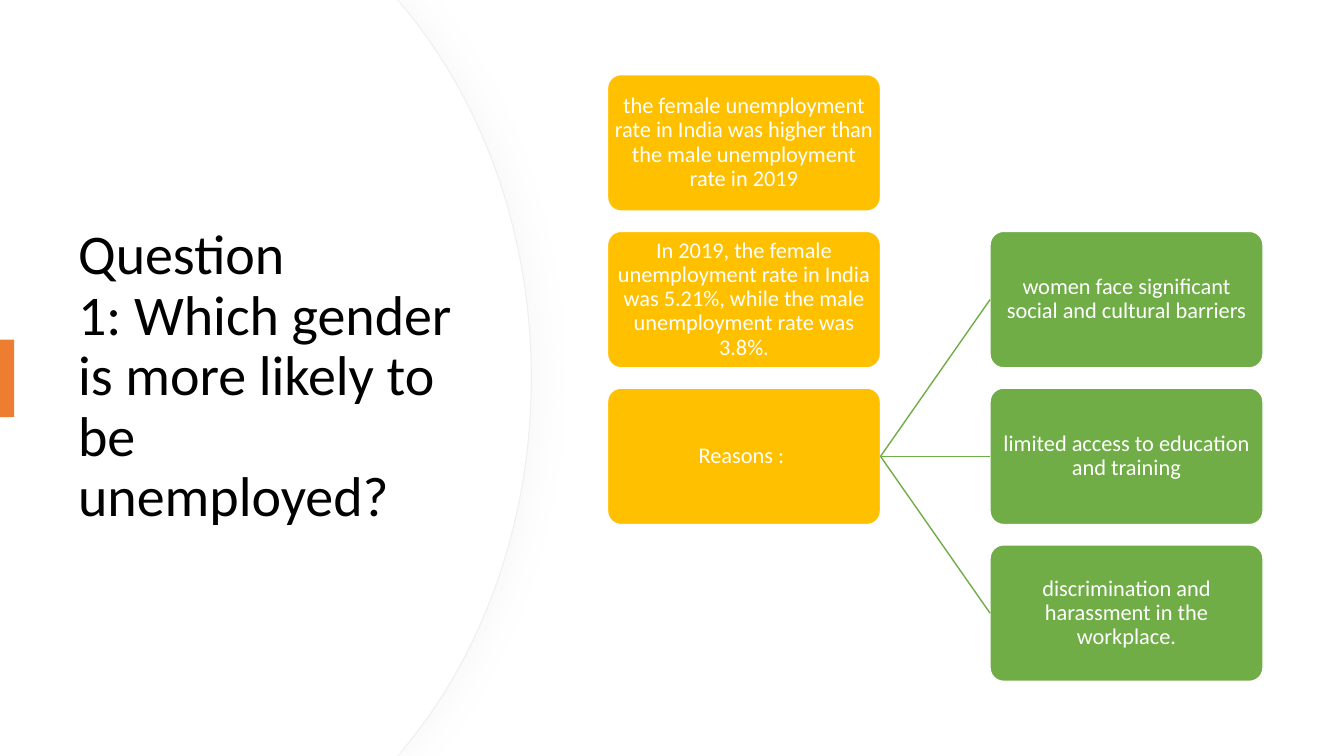
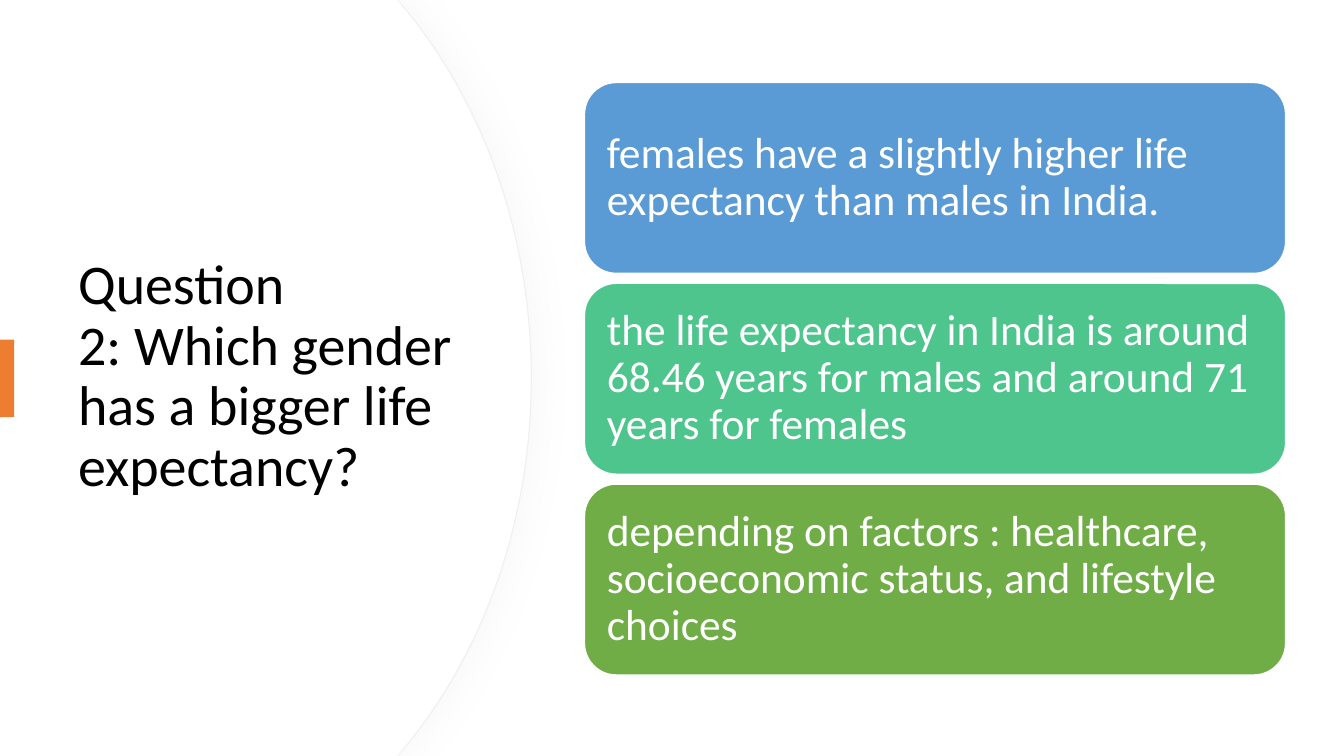
from dataclasses import dataclass

from lxml import etree
from pptx import Presentation
from pptx.dml.color import RGBColor
from pptx.enum.shapes import MSO_CONNECTOR, MSO_SHAPE
from pptx.enum.text import MSO_ANCHOR, PP_ALIGN
from pptx.oxml.ns import qn
from pptx.shapes.autoshape import Shape
from pptx.slide import Slide
from pptx.text.text import TextFrame
from pptx.util import Cm, Pt

RECTANGLE = MSO_SHAPE.RECTANGLE
ROUNDED = MSO_SHAPE.ROUNDED_RECTANGLE
STRAIGHT = MSO_CONNECTOR.STRAIGHT
MIDDLE = MSO_ANCHOR.MIDDLE
LEFT, CENTER = PP_ALIGN.LEFT, PP_ALIGN.CENTER
LEFT_SITE, RIGHT_SITE = 1, 3
SLIDE_W, SLIDE_H = 33.87, 19.05


@dataclass(frozen=True)
class Theme:
    font: str = "Calibri"
    title_size: float = 40
    node_size: float = 16
    fact_size: float = 31
    line_spacing: float = 0.9
    black: str = "000000"
    white: str = "FFFFFF"
    edge: str = "EFEFEF"
    shadow: str = "D9D9D9"
    orange: str = "ED7D31"
    gold: str = "FFC000"
    green: str = "70AD47"
    blue: str = "5B9BD5"
    mint: str = "4DC58D"


@dataclass(frozen=True)
class CardStyle:
    width: float
    height: float
    radius: float
    margin: float
    size: float
    align: PP_ALIGN


@dataclass(frozen=True)
class Card:
    text: str
    fill: str
    left: float
    top: float


THEME = Theme()
NODE = CardStyle(6.88, 3.44, 0.1, 0.03, THEME.node_size, CENTER)
FACT = CardStyle(17.67, 4.81, 0.1667, 0.33, THEME.fact_size, LEFT)
NODE_TOP, NODE_PITCH = 1.88, 3.95
CAUSE_LEFT, REASON_LEFT = 15.31, 24.95
FACT_LEFT, FACT_TOP, FACT_PITCH = 14.73, 2.08, 5.06

CAUSES = [
    "the female unemployment rate in India was higher than the male unemployment rate in 2019",
    "In 2019, the female unemployment rate in India was 5.21%, while the male unemployment rate was 3.8%.",
    "Reasons :\u00a0",
]
REASONS = [
    "women face significant social and cultural barriers",
    "limited access to education and training",
    "discrimination and harassment in the workplace.",
]
FACTS = [
    ("females have a slightly higher life expectancy than males in India.\u00a0", THEME.blue),
    ("the life expectancy in India is around 68.46 years for males and around 71 years for females", THEME.mint),
    ("depending on factors :\u00a0healthcare, socioeconomic status, and lifestyle choices", THEME.green),
]


def rgb(color: str) -> RGBColor:
    return RGBColor.from_string(color)


def paint(sp: Shape, fill: str, line: str | None = None, width: float = 1) -> None:
    sp.shadow.inherit = False
    sp.fill.solid()
    sp.fill.fore_color.rgb = rgb(fill)
    if line is None:
        sp.line.fill.background()
    else:
        sp.line.color.rgb = rgb(line)
        sp.line.width = Pt(width)


def write(tf: TextFrame, text: str, size: float, color: str, align: PP_ALIGN) -> None:
    tf.text = text
    tf.word_wrap = True
    tf.vertical_anchor = MIDDLE
    p = tf.paragraphs[0]
    p.alignment = align
    p.line_spacing = THEME.line_spacing
    font = p.runs[0].font
    font.name = THEME.font
    font.size = Pt(size)
    font.color.rgb = rgb(color)


def add_soft_shadow(sp: Shape) -> None:
    effects = sp._element.spPr.find(qn("a:effectLst"))
    shadow = etree.SubElement(
        effects, qn("a:outerShdw"), blurRad=str(Pt(20)), dist=str(Pt(7)), dir="0"
    )
    color = etree.SubElement(shadow, qn("a:srgbClr"), val=THEME.shadow)
    etree.SubElement(color, qn("a:alpha"), val="15000")


def curve_through(sp: Shape, first: int) -> None:
    lines = list(sp._element.iter(qn("a:lnTo")))[first:first + 3]
    curve = etree.Element(qn("a:cubicBezTo"))
    lines[0].addprevious(curve)
    for line in lines:
        curve.append(line[0])
        line.getparent().remove(line)


def add_panel(s: Slide, bulge: float) -> Shape:
    middle = (bulge, SLIDE_H / 2)
    upper = [(10.01, 0), (bulge - 3.2, 0.2), (bulge - 1.22, 2.59), (bulge, 5.89)]
    lower = [(x, SLIDE_H - y) for x, y in reversed(upper)]
    outline = [*upper, middle, *lower, (0, SLIDE_H)]
    builder = s.shapes.build_freeform(0, 0)
    builder.add_line_segments([(Cm(x), Cm(y)) for x, y in outline], close=True)
    sp = builder.convert_to_shape()
    for first in (5, 2):
        curve_through(sp, first)
    return sp


def add_question(prs: Presentation, title: str) -> Slide:
    s = prs.slides.add_slide(prs.slide_layouts[6])
    back = add_panel(s, 13.39)
    paint(back, THEME.white, THEME.edge, 0.75)
    add_soft_shadow(back)
    paint(add_panel(s, 13.36), THEME.white)
    box = s.shapes.add_textbox(Cm(1.72), Cm(3.23), Cm(10.01), Cm(12.57))
    write(box.text_frame, title, THEME.title_size, THEME.black, LEFT)
    accent = s.shapes.add_shape(RECTANGLE, 0, Cm(8.56), Cm(0.36), Cm(1.95))
    paint(accent, THEME.orange)
    return s


def add_card(s: Slide, card: Card, style: CardStyle) -> Shape:
    sp = s.shapes.add_shape(
        ROUNDED, Cm(card.left), Cm(card.top), Cm(style.width), Cm(style.height)
    )
    sp.adjustments[0] = style.radius
    paint(sp, card.fill, THEME.white)
    tf = sp.text_frame
    tf.margin_left = tf.margin_right = Cm(style.margin)
    tf.margin_top = tf.margin_bottom = Cm(style.margin)
    write(tf, card.text, style.size, THEME.white, style.align)
    return sp


def add_link(s: Slide, source: Shape, target: Shape) -> None:
    link = s.shapes.add_connector(STRAIGHT, 0, 0, 0, 0)
    link.begin_connect(source, RIGHT_SITE)
    link.end_connect(target, LEFT_SITE)
    link.line.color.rgb = rgb(THEME.green)
    link.line.width = Pt(1)
    etree.SubElement(link._element.spPr, qn("a:effectLst"))


def build_unemployment(prs: Presentation) -> None:
    s = add_question(prs, "Question 1:\u00a0Which gender is more likely to be unemployed?")
    causes = [
        add_card(s, Card(text, THEME.gold, CAUSE_LEFT, NODE_TOP + i * NODE_PITCH), NODE)
        for i, text in enumerate(CAUSES)
    ]
    for i, text in enumerate(REASONS, start=1):
        card = Card(text, THEME.green, REASON_LEFT, NODE_TOP + i * NODE_PITCH)
        add_link(s, causes[-1], add_card(s, card, NODE))


def build_life_expectancy(prs: Presentation) -> None:
    s = add_question(prs, "Question 2:\u00a0Which gender has a bigger life expectancy?")
    for i, (text, fill) in enumerate(FACTS):
        add_card(s, Card(text, fill, FACT_LEFT, FACT_TOP + i * FACT_PITCH), FACT)


def main() -> None:
    prs = Presentation()
    prs.slide_width, prs.slide_height = Cm(SLIDE_W), Cm(SLIDE_H)
    build_unemployment(prs)
    build_life_expectancy(prs)
    prs.save("out.pptx")


main()
